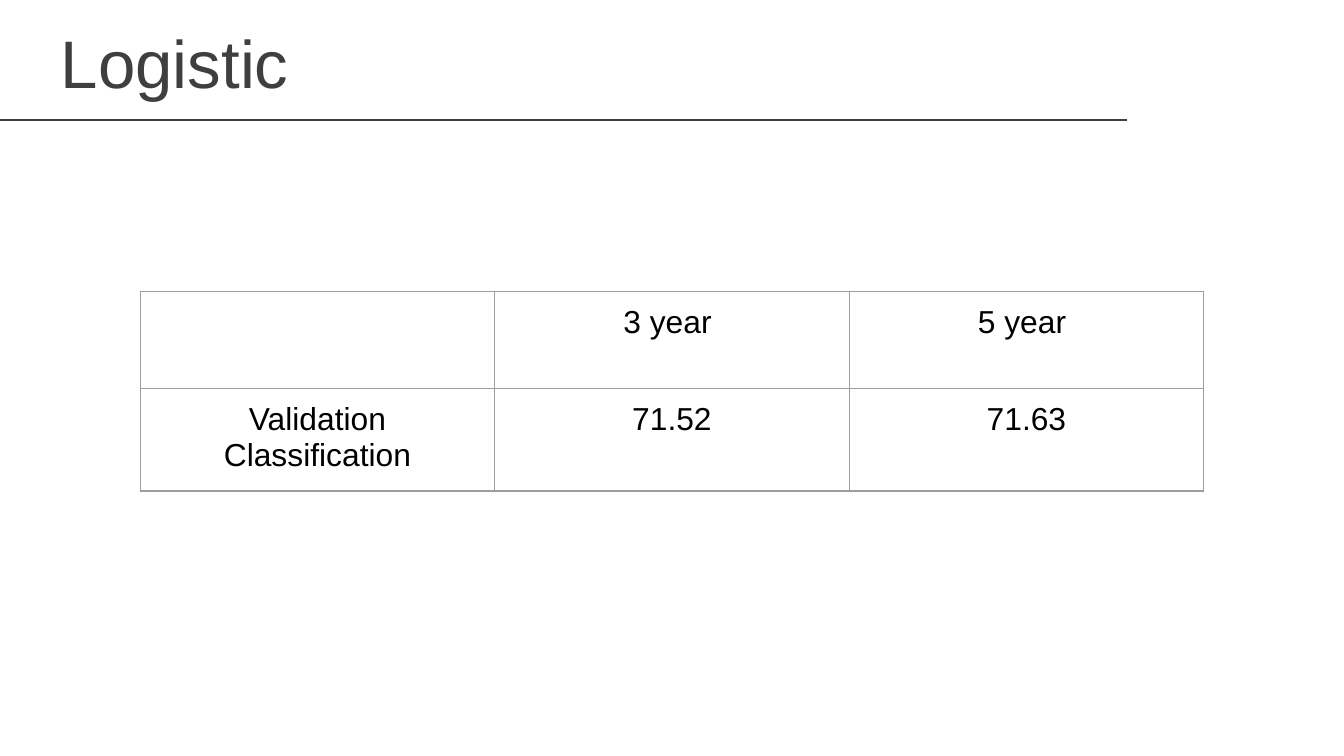
import pptx
import pptx.util
import pptx.dml.color
import pptx.enum.shapes
import pptx.enum.text
import pptx.oxml
import pptx.oxml.ns
import lxml.etree

Cm, Pt = pptx.util.Cm, pptx.util.Pt
ALIGN = pptx.enum.text.PP_ALIGN

TITLE = "Logistic"
ROWS = [
    ["", "3 year ", "5 year "],
    ["Validation Classification", "71.52", "71.63"],
]
COL_W, ROW_H = 6.7, 1.83


def color(value):
    return pptx.dml.color.RGBColor.from_string(value)


def write(tf, text, size=17, fill="000000", align=ALIGN.CENTER, before=0):
    tf.word_wrap = True
    p = tf.paragraphs[0]
    p.alignment = align
    p.space_before = Pt(before)
    p.font.size = Pt(size)
    if text:
        r = p.add_run()
        r.text = text
        r.font.name = "Arial"
        r.font.size = Pt(size)
        r.font.color.rgb = color(fill)


def add_borders(cell, fill, width):
    tcPr = cell._tc.get_or_add_tcPr()
    for i, side in enumerate(("lnL", "lnR", "lnT", "lnB")):
        ln = pptx.oxml.parse_xml(
            f'<a:{side} {pptx.oxml.ns.nsdecls("a")} w="{Pt(width)}">'
            f'<a:solidFill><a:srgbClr val="{fill}"/></a:solidFill></a:{side}>'
        )
        tcPr.insert(i, ln)


prs = pptx.Presentation()
prs.slide_width, prs.slide_height = Cm(25.4), Cm(14.29)
s = prs.slides.add_slide(prs.slide_layouts[6])

rule = s.shapes.add_connector(
    pptx.enum.shapes.MSO_CONNECTOR.STRAIGHT, Cm(-0.03), Cm(2.27), Cm(21.3), Cm(2.27)
)
rule.line.color.rgb = color("3F3F3F")
rule.line.width = Pt(1.5)
lxml.etree.SubElement(rule._element.spPr, pptx.oxml.ns.qn("a:effectLst"))

title = s.shapes.add_textbox(Cm(0.9), Cm(0.36), Cm(20.4), Cm(1.6))
title.text_frame.vertical_anchor = pptx.enum.text.MSO_ANCHOR.MIDDLE
write(title.text_frame, TITLE, size=36, fill="3F3F3F", align=ALIGN.LEFT, before=7.2)

n_rows, n_cols = len(ROWS), len(ROWS[0])
table = s.shapes.add_table(
    n_rows, n_cols, Cm(2.65), Cm(5.51), Cm(COL_W * n_cols), Cm(ROW_H * n_rows)
).table
table.first_row = table.horz_banding = False
for col in table.columns:
    col.width = Cm(COL_W)
for row, texts in zip(table.rows, ROWS):
    row.height = Cm(ROW_H)
    for cell, text in zip(row.cells, texts):
        cell.margin_left = cell.margin_right = Cm(0.25)
        cell.margin_top = cell.margin_bottom = Cm(0.25)
        cell.fill.background()
        add_borders(cell, "9E9E9E", 0.75)
        write(cell.text_frame, text)

prs.save("out.pptx")
